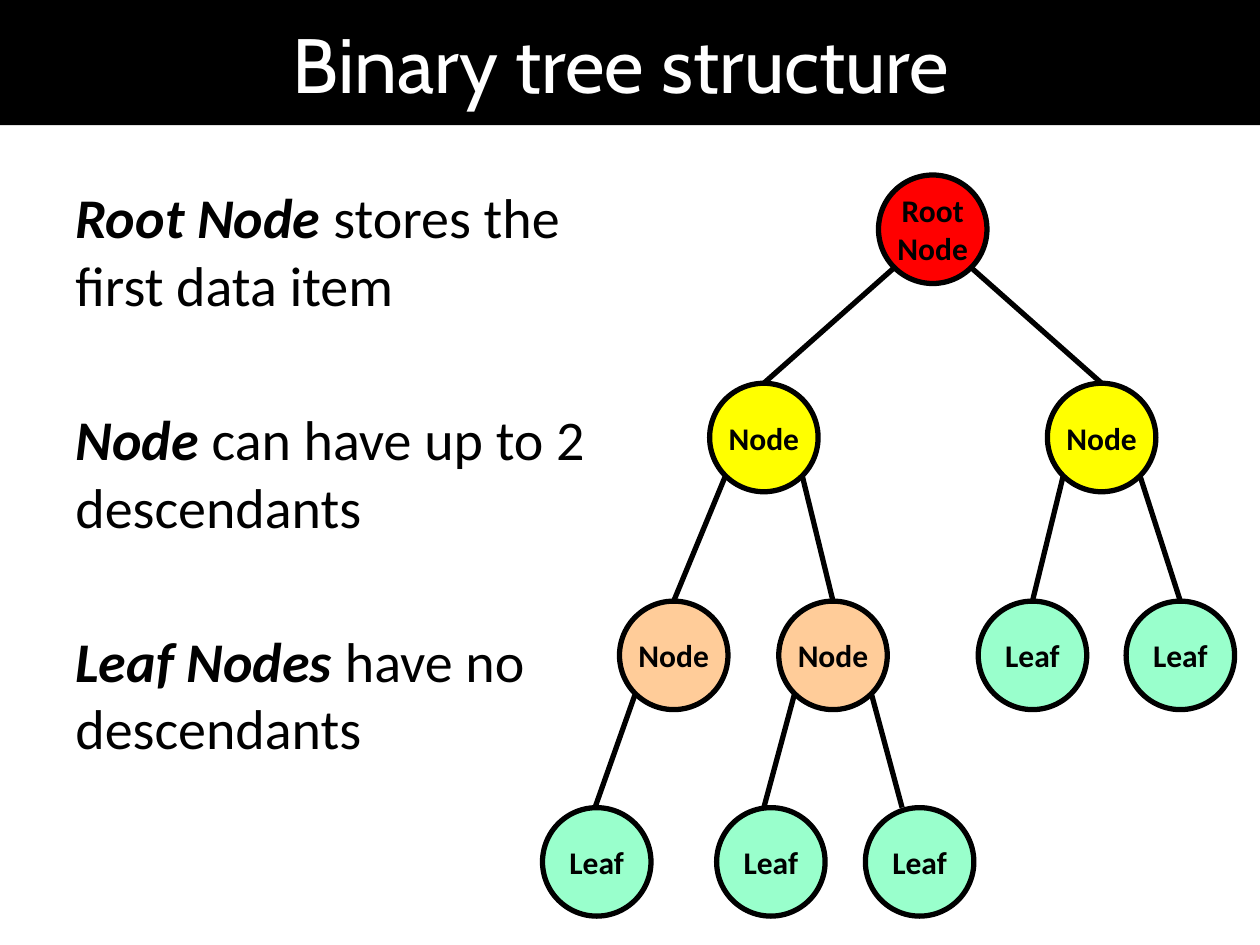
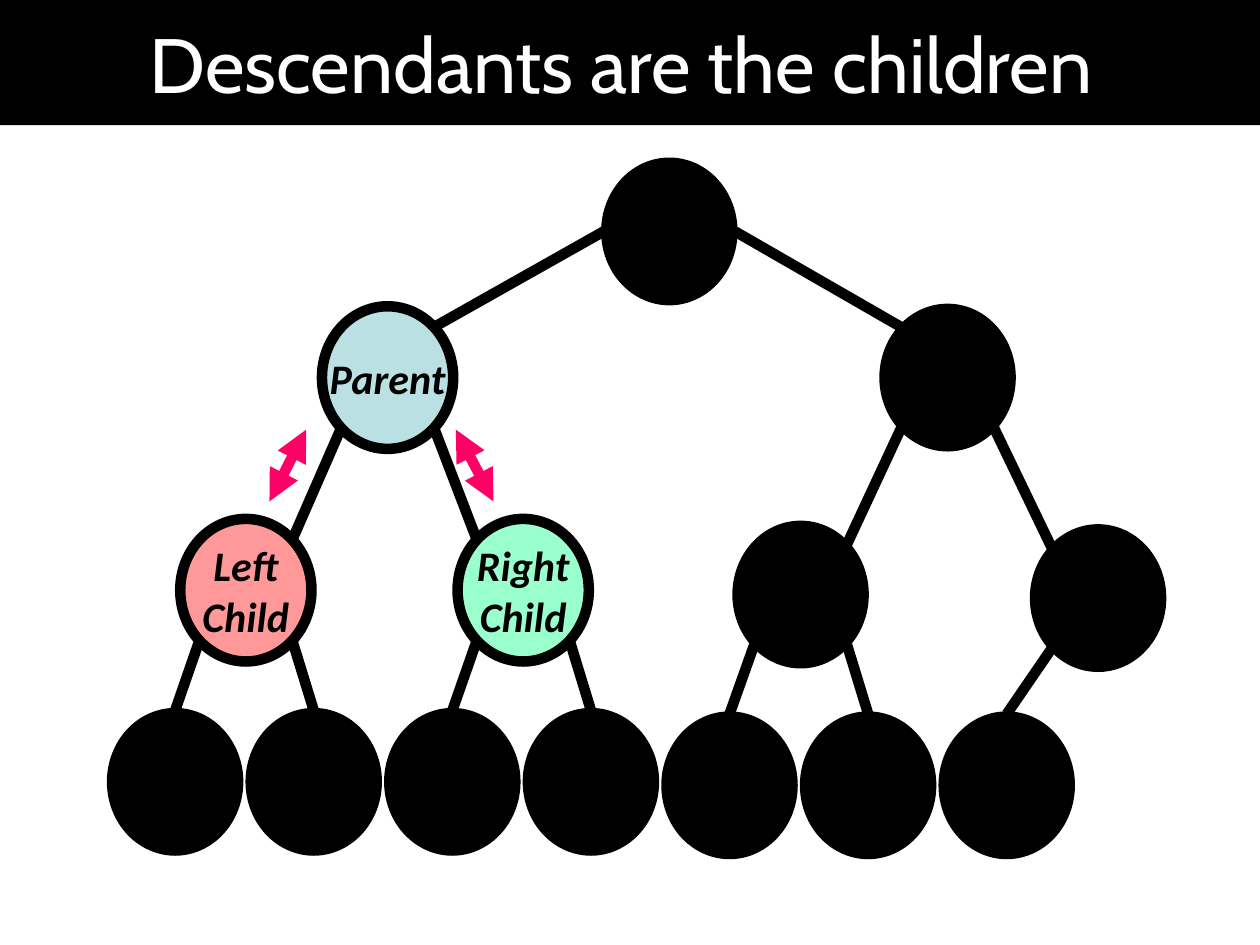
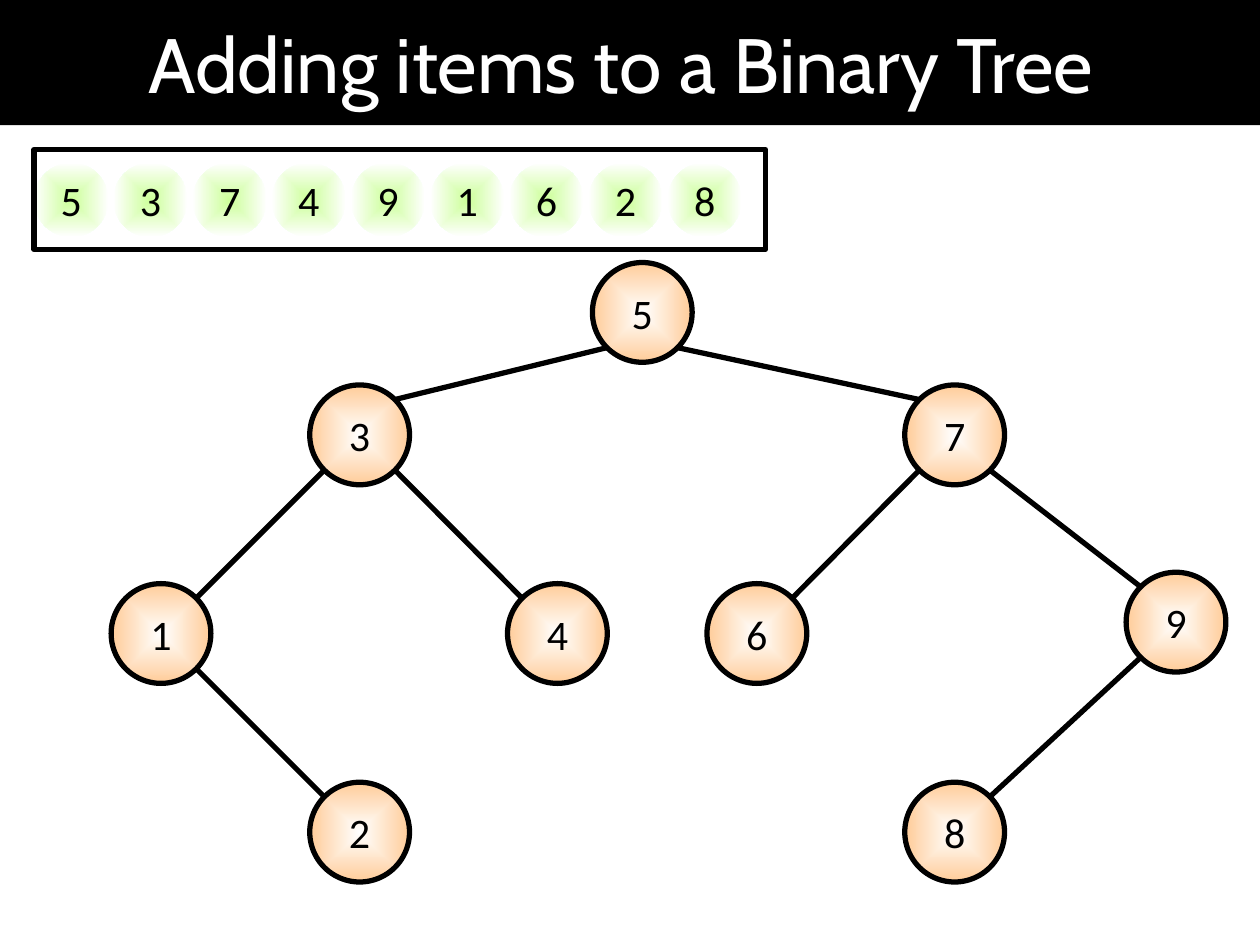
import lxml.etree
import pptx
import pptx.dml.color
import pptx.enum.shapes
import pptx.enum.text
import pptx.oxml.ns
import pptx.util

Pt = pptx.util.Pt
qn = pptx.oxml.ns.qn
SHAPES = pptx.enum.shapes.MSO_SHAPE
ALIGN = pptx.enum.text.PP_ALIGN
ANCHOR = pptx.enum.text.MSO_ANCHOR

BLACK, WHITE = "000000", "FFFFFF"
RED, YELLOW, ORANGE, MINT = "FF0000", "FFFF00", "FFCC99", "99FFCC"
PALE_BLUE, SALMON, PINK, LIME = "BBE0E3", "FF9999", "FF0066", "CCFF99"

DIAGONAL = 0.354  # share of the width from an ellipse's centre to its 45° point
ANCHORS = {
    "n": (0, -0.5), "w": (-0.5, 0), "e": (0.5, 0),
    "nw": (-DIAGONAL, -DIAGONAL), "ne": (DIAGONAL, -DIAGONAL),
    "sw": (-DIAGONAL, DIAGONAL), "se": (DIAGONAL, DIAGONAL),
}


def rgb(value):
    return pptx.dml.color.RGBColor.from_string(value)


class TreeDeck:
    """Shared style plus the slide being drawn; all lengths are in points."""

    title_font, body_font = "Cabin", "Calibri"

    def __init__(self):
        self.prs = pptx.Presentation()
        self.prs.slide_width, self.prs.slide_height = Pt(720), Pt(540)
        self.slide = None

    def new_slide(self, title):
        self.slide = self.prs.slides.add_slide(self.prs.slide_layouts[6])
        self.shape(SHAPES.RECTANGLE, 0, 0, 720, 71.5, BLACK)
        heading = self.slide.shapes.add_textbox(Pt(31), 0, Pt(648), Pt(71.5))
        frame = heading.text_frame
        frame.word_wrap = True
        self.centre_text(frame, title)
        self.style_runs(frame, 44, WHITE, font=self.title_font)

    def centre_text(self, frame, text):
        frame.text = text
        frame.vertical_anchor = ANCHOR.MIDDLE
        for paragraph in frame.paragraphs:
            paragraph.alignment = ALIGN.CENTER

    def style_runs(self, frame, size, colour=BLACK, font=body_font, bold=False, italic=False):
        for paragraph in frame.paragraphs:
            for run in paragraph.runs:
                run.font.name, run.font.size = font, Pt(size)
                run.font.color.rgb = rgb(colour)
                run.font.bold, run.font.italic = bold, italic

    def shape(self, kind, left, top, width, height, fill=None, line=0):
        """fill is a colour, a (centre, edge) pair of colours, or None."""
        shape = self.slide.shapes.add_shape(kind, Pt(left), Pt(top), Pt(width), Pt(height))
        shape.shadow.inherit = False
        if fill is None:
            shape.fill.background()
        elif isinstance(fill, tuple):
            self.radial_fill(shape, fill)
        else:
            shape.fill.solid()
            shape.fill.fore_color.rgb = rgb(fill)
        if line:
            shape.line.color.rgb = rgb(BLACK)
            shape.line.width = Pt(line)
        else:
            shape.line.fill.background()
        return shape

    def radial_fill(self, shape, colours):
        shape.fill.gradient()
        for stop, colour in zip(shape.fill.gradient_stops, colours):
            stop.color.rgb = rgb(colour)
        gradient = shape.element.spPr.find(qn("a:gradFill"))
        gradient.remove(gradient.find(qn("a:lin")))
        spread = lxml.etree.SubElement(gradient, qn("a:path"), {"path": "shape"})
        lxml.etree.SubElement(spread, qn("a:fillToRect"), {side: "50000" for side in "ltrb"})

    def node(self, left, top, size, fill, text="", line=3, font_size=24, bold=False, italic=False):
        node = self.shape(SHAPES.OVAL, left, top, *size, fill, line)
        if text:
            frame = node.text_frame
            frame.word_wrap = False
            self.centre_text(frame, text)
            self.style_runs(frame, font_size, bold=bold, italic=italic)
        return node

    def line(self, start, end, width, colour=BLACK, arrows=False):
        line = self.slide.shapes.add_connector(
            pptx.enum.shapes.MSO_CONNECTOR.STRAIGHT, *map(Pt, start), *map(Pt, end))
        line.line.color.rgb = rgb(colour)
        line.line.width = Pt(width)
        properties = line.element.spPr
        if arrows:
            for tag in ("a:headEnd", "a:tailEnd"):
                lxml.etree.SubElement(properties.find(qn("a:ln")), qn(tag), {"type": "triangle"})
        lxml.etree.SubElement(properties, qn("a:effectLst"))

    def anchor(self, node, side):
        across, down = ANCHORS[side]
        return (node.left.pt + node.width.pt * (0.5 + across),
                node.top.pt + node.height.pt * (0.5 + down))

    def branch(self, parent, side, child, child_side, width=3, shift=0):
        """Join two nodes; shift moves the child's end sideways."""
        x, y = self.anchor(child, child_side)
        self.line(self.anchor(parent, side), (x + shift, y), width)

    def definitions(self, left, top, width, height, entries):
        box = self.slide.shapes.add_textbox(Pt(left), Pt(top), Pt(width), Pt(height))
        frame = box.text_frame
        frame.word_wrap = True
        for index, (term, meaning) in enumerate(entries):
            paragraph = frame.add_paragraph() if index else frame.paragraphs[0]
            if index:
                paragraph.space_before = Pt(50)
            for text in (term, meaning):
                paragraph.add_run().text = text
        self.style_runs(frame, 32)
        for paragraph in frame.paragraphs:
            paragraph.runs[0].font.bold = paragraph.runs[0].font.italic = True


def structure_slide(deck):
    deck.new_slide("Binary tree structure")
    deck.definitions(36, 101, 312.5, 382, [
        ("Root Node", " stores the first data item"),
        ("Node", " can have up to 2 descendants"),
        ("Leaf Nodes", " have no descendants"),
    ])
    levels = [
        (100, [("root", 502, RED, "Root\nNode")]),
        (219, [("left", 405.5, YELLOW, "Node"), ("right", 598.5, YELLOW, "Node")]),
        (343.5, [("outer", 354, ORANGE, "Node"), ("inner", 445, ORANGE, "Node"),
                 ("leaf 4", 559, MINT, "Leaf"), ("leaf 5", 643.5, MINT, "Leaf")]),
        (461.5, [("leaf 1", 310, MINT, "Leaf"), ("leaf 2", 409.5, MINT, "Leaf"),
                 ("leaf 3", 494.5, MINT, "Leaf")]),
    ]
    nodes = {name: deck.node(left, top, (62, 62), fill, text, font_size=18, bold=True)
             for top, level in levels for name, left, fill, text in level}
    for parent, side, child, shift in [
        ("root", "sw", "left", 0), ("root", "se", "right", 0),
        ("left", "sw", "outer", 0), ("left", "se", "inner", 0),
        ("right", "sw", "leaf 4", 0), ("right", "se", "leaf 5", 0),
        ("outer", "sw", "leaf 1", -1), ("inner", "sw", "leaf 2", -4),
        ("inner", "se", "leaf 3", -10),
    ]:
        deck.branch(nodes[parent], side, nodes[child], "n", shift=shift)


def descendants_slide(deck):
    deck.new_slide("Descendants are the children")
    size = (75, 81.5)
    nodes = {name: deck.node(left, top, size, fill, text, line, bold=True, italic=True)
             for name, left, top, fill, text, line in [
                 ("root", 345, 91.5, BLACK, "", 3),
                 ("parent", 184, 175, PALE_BLUE, "Parent", 6),
                 ("uncle", 504, 175, BLACK, "", 3),
                 ("left child", 103, 296.5, SALMON, "Left\nChild", 6),
                 ("right child", 261.5, 296.5, MINT, "Right\nChild", 6),
                 ("left cousin", 420, 299, BLACK, "", 3),
                 ("right cousin", 590, 301, BLACK, "", 3)]}
    for index in range(7):
        top = 406 if index < 4 else 408
        nodes[index] = deck.node(62.6 + 79.2 * index, top, size, BLACK)
    for parent, side, child, child_side in [
        ("root", "w", "parent", "ne"), ("root", "e", "uncle", "nw"),
        ("parent", "sw", "left child", "ne"), ("parent", "se", "right child", "nw"),
        ("uncle", "sw", "left cousin", "ne"), ("uncle", "se", "right cousin", "nw"),
        ("left child", "sw", 0, "n"), ("left child", "se", 1, "n"),
        ("right child", "sw", 2, "n"), ("right child", "se", 3, "n"),
        ("left cousin", "sw", 4, "n"), ("left cousin", "se", 5, "n"),
        ("right cousin", "sw", 6, "n"),
    ]:
        deck.branch(nodes[parent], side, nodes[child], child_side, width=6)
    for upper_x, lower_x in [(175, 154), (260.5, 282)]:
        deck.line((upper_x, 245.5), (lower_x, 286.5), 6, PINK, arrows=True)


def adding_slide(deck):
    deck.new_slide("Adding items to a Binary Tree")
    for index, item in enumerate("537491628"):
        deck.node(19.5 + 45.25 * index, 93, (42.5, 42.5), (LIME, WHITE), item, line=0)
    places = {
        "5": (338.5, 150), "3": (177, 220), "7": (517, 220),
        "4": (290, 333.5), "9": (643.5, 327), "1": (63.5, 333.5),
        "6": (404, 333.5), "2": (177, 447), "8": (517, 447),
    }
    nodes = {item: deck.node(*place, (57, 57), (WHITE, ORANGE), item)
             for item, place in places.items()}
    for parent, child in ["53", "57", "79", "76", "98", "34", "31", "12"]:
        sides = ("sw", "ne") if child < parent else ("se", "nw")
        deck.branch(nodes[parent], sides[0], nodes[child], sides[1])
    deck.shape(SHAPES.RECTANGLE, 19.5, 85.5, 418, 57, line=3)


def main():
    deck = TreeDeck()
    structure_slide(deck)
    descendants_slide(deck)
    adding_slide(deck)
    deck.prs.save("out.pptx")


if __name__ == "__main__":
    main()
